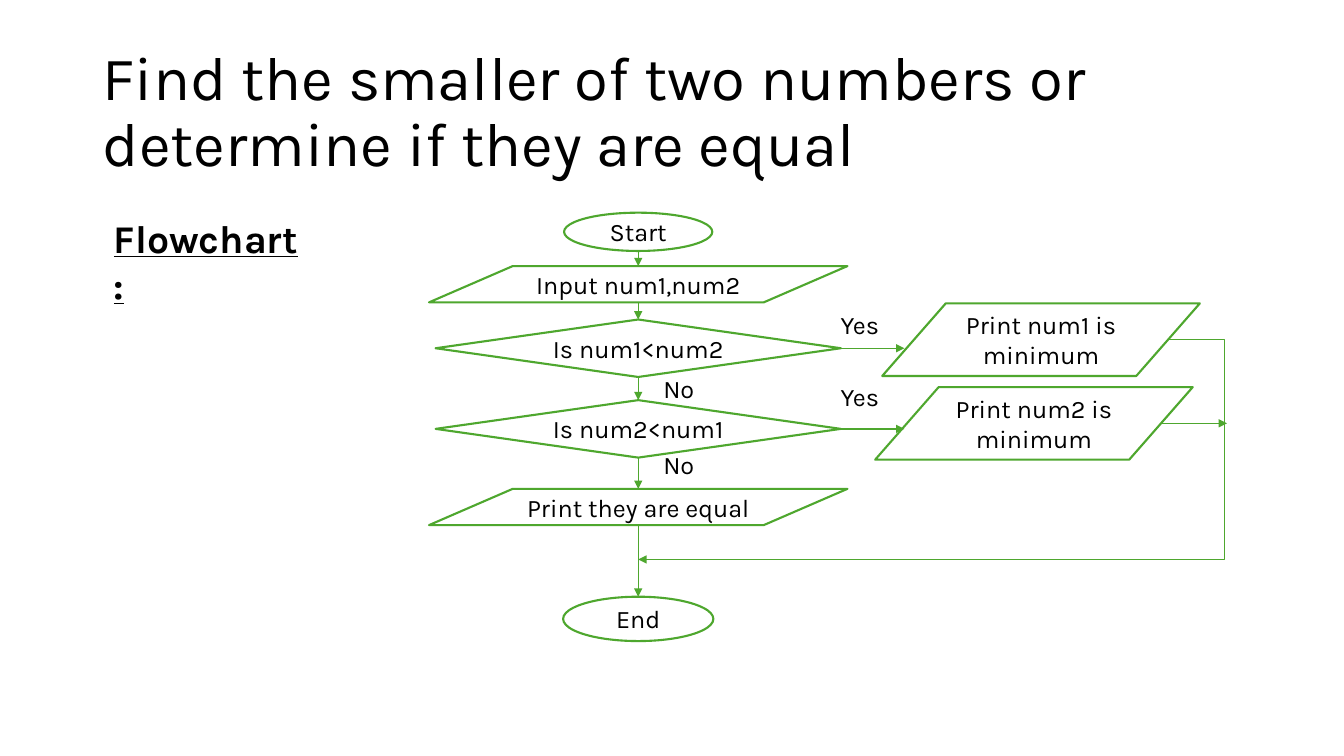
"""Builds a slide with a flowchart that finds the smaller of two numbers."""
import pptx
import pptx.dml.color
import pptx.enum.shapes
import pptx.enum.text
import pptx.oxml
import pptx.oxml.ns
import pptx.util

Inches = pptx.util.Inches
Pt = pptx.util.Pt
Shape = pptx.enum.shapes.MSO_SHAPE
Link = pptx.enum.shapes.MSO_CONNECTOR
Align = pptx.enum.text.PP_ALIGN
Anchor = pptx.enum.text.MSO_ANCHOR

BLACK = pptx.dml.color.RGBColor(0x00, 0x00, 0x00)
WHITE = pptx.dml.color.RGBColor(0xFF, 0xFF, 0xFF)
GREEN = pptx.dml.color.RGBColor(0x4E, 0xA7, 0x2E)
FONT = "Karla"

STEPS = [
    (Shape.OVAL, "Start", 0, 1.47, 0.38),
    (Shape.FLOWCHART_DATA, "Input num1,num2", 0.53, 4.15, 0.36),
    (Shape.FLOWCHART_DECISION, "Is num1<num2", 1.06, 4.02, 0.57),
    (Shape.FLOWCHART_DECISION, "Is num2<num1", 1.86, 4.02, 0.57),
    (Shape.FLOWCHART_DATA, "Print they are equal", 2.74, 4.15, 0.36),
    (Shape.OVAL, "End", 3.81, 1.49, 0.44),
]


def write(frame, text, size=18, bold=False, line=None, align=Align.LEFT):
    """Put formatted text in a text frame."""
    para = frame.paragraphs[0]
    para.alignment = align
    if line:
        para.line_spacing = line
    run = para.add_run()
    run.text = text
    font = run.font
    font.name, font.size = FONT, Pt(size)
    font.bold = font.underline = bold
    font.color.rgb = BLACK


def label(slide, text, left, top, width, height, wrap=False,
          anchor=Anchor.TOP, **style):
    """Add a text box."""
    box = slide.shapes.add_textbox(
        Inches(left), Inches(top), Inches(width), Inches(height))
    frame = box.text_frame
    frame.word_wrap = wrap
    frame.vertical_anchor = anchor
    write(frame, text, **style)


def node(slide, kind, text, left, top, width, height):
    """Add an outlined flowchart symbol."""
    shape = slide.shapes.add_shape(
        kind, Inches(left), Inches(top), Inches(width), Inches(height))
    shape.shadow.inherit = False
    shape.fill.solid()
    shape.fill.fore_color.rgb = WHITE
    shape.line.color.rgb = GREEN
    shape.line.width = Pt(1.5)
    shape.text_frame.vertical_anchor = Anchor.MIDDLE
    write(shape.text_frame, text, align=Align.CENTER)
    return shape


def arrow(slide, start, end, kind=Link.STRAIGHT, bend=None):
    """Add a green arrow between two points, with an optional bend ratio."""
    line = slide.shapes.add_connector(
        kind, *(Inches(value) for value in (*start, *end)))
    line.line.color.rgb = GREEN
    line.line.width = Pt(1)
    space = pptx.oxml.ns.nsdecls("a")
    props = line.line._get_or_add_ln()
    props.append(pptx.oxml.parse_xml(f'<a:tailEnd {space} type="triangle"/>'))
    props.addnext(pptx.oxml.parse_xml(f"<a:effectLst {space}/>"))
    if bend is not None:
        guides = line._element.spPr.find(".//" + pptx.oxml.ns.qn("a:avLst"))
        guides.append(pptx.oxml.parse_xml(
            f'<a:gd {space} name="adj1" fmla="val {round(bend * 100000)}"/>'))
    return line


def spine(slide, axis, top):
    """Stack the main steps on an axis, join them, and return the tests."""
    tests, last, foot = [], None, None
    for kind, text, drop, width, height in STEPS:
        head = top + drop
        shape = node(slide, kind, text, axis - width / 2, head, width, height)
        if last is not None:
            line = arrow(slide, (axis, foot), (axis, head))
            if last in tests:
                line.begin_connect(last, 2)
            if kind == Shape.FLOWCHART_DECISION:
                line.end_connect(shape, 0)
        if kind == Shape.FLOWCHART_DECISION:
            tests.append(shape)
        last, foot = shape, head + height
    return tests


def branch(slide, test, text, left, top, width, height):
    """Add the output of a test, with its arrow and the answers."""
    node(slide, Shape.FLOWCHART_DATA, text, left, top, width, height)
    level = (test.top + test.height / 2) / Inches(1)
    side = (test.left + test.width) / Inches(1)
    line = arrow(slide, (side, level), (8.97, level))
    line.begin_connect(test, 3)


def chart(slide, left, top):
    """Draw the whole flowchart from the top left of its box."""
    axis = left + 2.07
    tests = spine(slide, axis, top)
    branch(slide, tests[0], "Print num1 is minimum",
           left + 4.49, top + 0.9, 3.15, 0.72)
    branch(slide, tests[1], "Print num2 is minimum",
           left + 4.42, top + 1.73, 3.15, 0.72)
    for text, shift, drop, width in [
            ("Yes", 3.98, 0.91, 0.58), ("Yes", 3.98, 1.62, 0.58),
            ("No", 2.22, 1.54, 0.52), ("No", 2.22, 2.3, 0.52)]:
        label(slide, text, left + shift, top + drop, width, 0.4)
    arrow(slide, (left + 7.32, top + 1.26), (axis, top + 3.44),
          kind=Link.ELBOW, bend=-0.108)
    arrow(slide, (left + 7.26, top + 2.09), (left + 7.91, top + 2.09))


def main():
    """Build and save the slide."""
    deck = pptx.Presentation()
    deck.slide_width, deck.slide_height = Inches(13.33), Inches(7.5)
    slide = deck.slides.add_slide(deck.slide_layouts[6])
    label(slide, "Find the smaller of two numbers or determine if they are equal",
          0.92, 0.4, 11.5, 1.45, wrap=True, anchor=Anchor.MIDDLE,
          size=44, line=0.9)
    label(slide, "Flowchart:", 1.03, 2.08, 2.11, 0.57, wrap=True,
          size=28, bold=True)
    chart(slide, 4.26, 2.11)
    deck.save("out.pptx")


if __name__ == "__main__":
    main()
